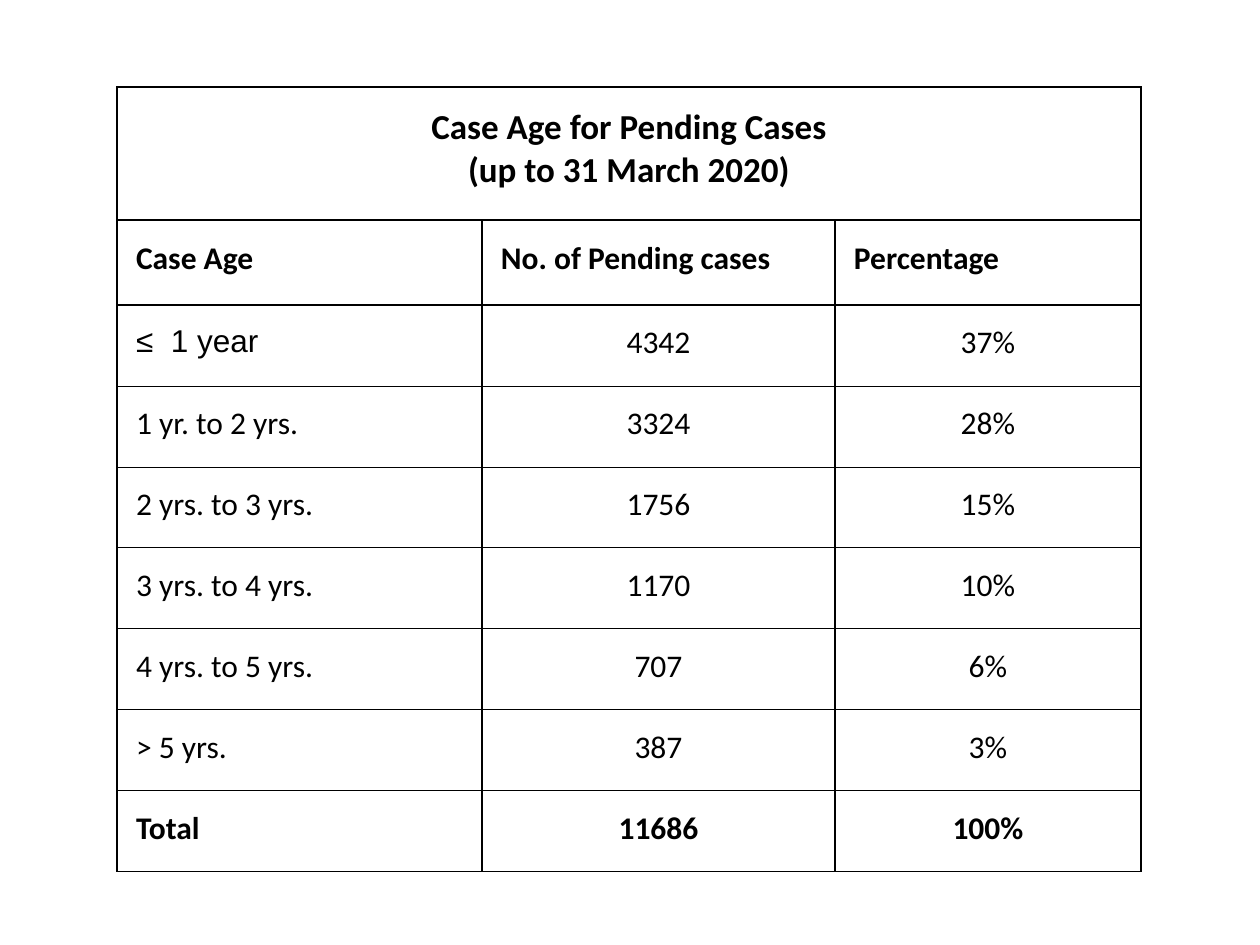
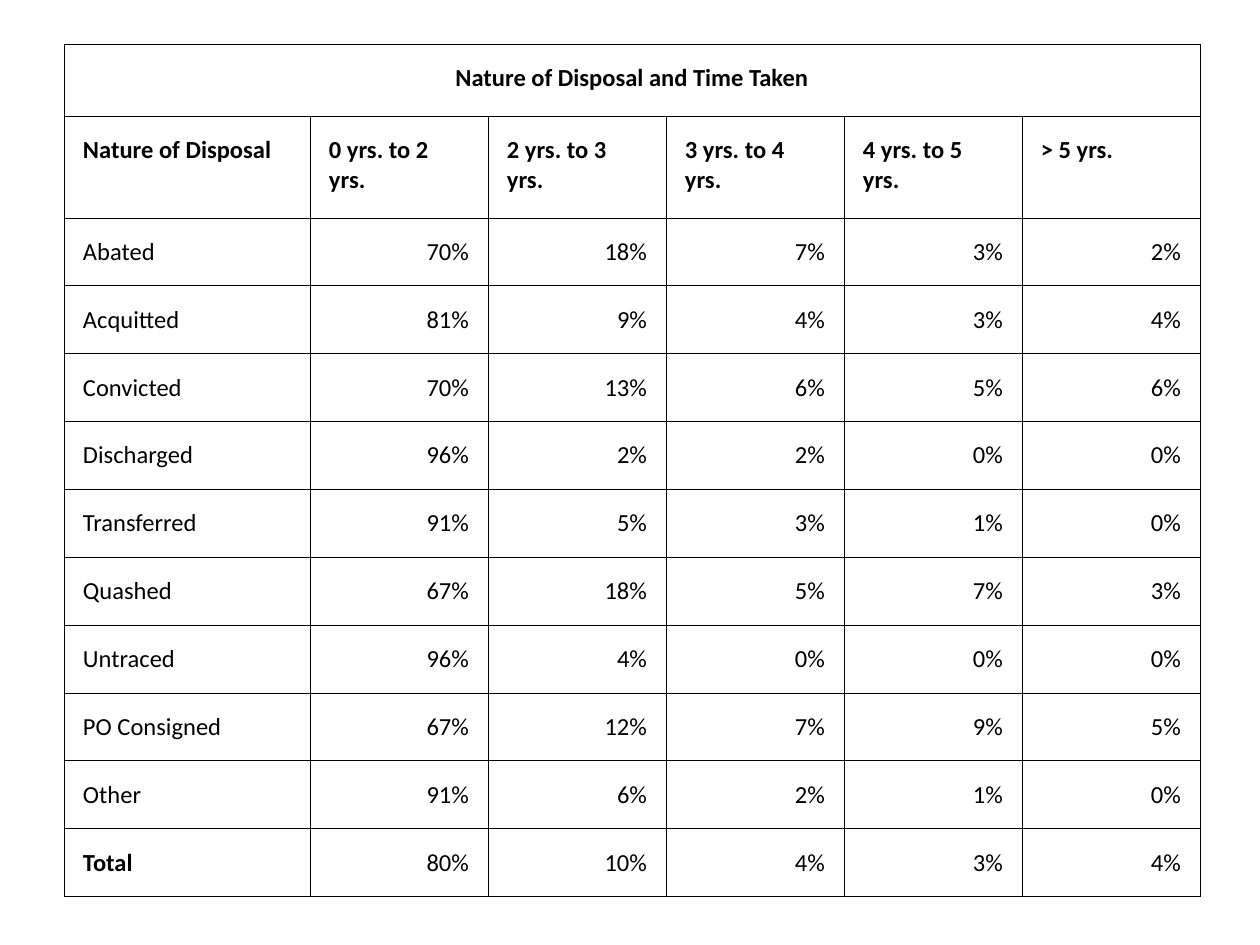
from dataclasses import dataclass

from lxml.etree import SubElement
from pptx import Presentation
from pptx.dml.color import RGBColor
from pptx.enum.text import MSO_ANCHOR as Anchor, PP_ALIGN as Align
from pptx.oxml.ns import qn
from pptx.presentation import Presentation as Deck
from pptx.table import _Cell as Cell
from pptx.util import Emu, Pt

PX_PER_INCH = 126
EMU_PER_INCH = 914400
BLACK = RGBColor(0, 0, 0)
FONT = "Calibri"
CELL_MARGIN = 19
THIN, REGULAR = 0.5, 1


@dataclass(frozen=True)
class CaseTable:
    left: int
    top: int
    columns: list[int]
    title_height: int
    header_height: int
    row_height: int
    title: str
    headers: list[str]
    rows: list[list[str]]
    title_size: int
    text_size: int
    value_align: Align
    label_anchor: Anchor
    value_anchor: Anchor
    total_anchor: Anchor
    frame_line: float
    bold_total_values: bool


@dataclass(frozen=True)
class CellStyle:
    size: int
    bold: bool = False
    align: Align = Align.LEFT
    anchor: Anchor = Anchor.TOP
    font: str = FONT


PENDING_CASES = CaseTable(
    left=117, top=87, columns=[365, 353, 306],
    title_height=133, header_height=85, row_height=81,
    title="Case Age for Pending Cases\v(up to 31 March 2020)",
    headers=["Case Age", "No. of Pending cases", "Percentage"],
    rows=[
        ["≤  1 year", "4342", "37%"],
        ["1 yr. to 2 yrs.", "3324", "28%"],
        ["2 yrs. to 3 yrs.", "1756", "15%"],
        ["3 yrs. to 4 yrs.", "1170", "10%"],
        ["4 yrs. to 5 yrs.", "707", "6%"],
        ["> 5 yrs.", "387", "3%"],
        ["Total", "11686", "100%"],
    ],
    title_size=20, text_size=18, value_align=Align.CENTER,
    label_anchor=Anchor.TOP, value_anchor=Anchor.TOP, total_anchor=Anchor.TOP,
    frame_line=REGULAR, bold_total_values=True,
)

DISPOSAL_TIMES = CaseTable(
    left=64, top=44, columns=[246] + [178] * 5,
    title_height=72, header_height=102, row_height=67,
    title="Nature of Disposal and Time Taken",
    headers=["Nature of Disposal", "0 yrs. to 2 yrs.", "2 yrs. to 3 yrs.",
             "3 yrs. to 4 yrs.", "4 yrs. to 5 yrs.", "> 5 yrs."],
    rows=[
        ["Abated", "70%", "18%", "7%", "3%", "2%"],
        ["Acquitted", "81%", "9%", "4%", "3%", "4%"],
        ["Convicted", "70%", "13%", "6%", "5%", "6%"],
        ["Discharged", "96%", "2%", "2%", "0%", "0%"],
        ["Transferred", "91%", "5%", "3%", "1%", "0%"],
        ["Quashed", "67%", "18%", "5%", "7%", "3%"],
        ["Untraced", "96%", "4%", "0%", "0%", "0%"],
        ["PO Consigned", "67%", "12%", "7%", "9%", "5%"],
        ["Other", "91%", "6%", "2%", "1%", "0%"],
        ["Total", "80%", "10%", "4%", "3%", "4%"],
    ],
    title_size=14, text_size=14, value_align=Align.RIGHT,
    label_anchor=Anchor.MIDDLE, value_anchor=Anchor.BOTTOM, total_anchor=Anchor.BOTTOM,
    frame_line=THIN, bold_total_values=False,
)


def px(length: int) -> Emu:
    return Emu(round(length * EMU_PER_INCH / PX_PER_INCH))


def set_borders(cell: Cell, side: float, top: float, bottom: float) -> None:
    properties = cell._tc.get_or_add_tcPr()
    widths = {"a:lnL": side, "a:lnR": side, "a:lnT": top, "a:lnB": bottom}
    for tag, width in widths.items():
        line = SubElement(properties, qn(tag), w=str(Pt(width)))
        fill = SubElement(line, qn("a:solidFill"))
        SubElement(fill, qn("a:srgbClr"), val=str(BLACK))


def write_cell(cell: Cell, text: str, style: CellStyle) -> None:
    cell.margin_left = cell.margin_right = px(CELL_MARGIN)
    cell.margin_top = cell.margin_bottom = px(CELL_MARGIN)
    cell.vertical_anchor = style.anchor
    cell.fill.background()
    paragraph = cell.text_frame.paragraphs[0]
    paragraph.text = text
    paragraph.alignment = style.align
    paragraph.font.name = style.font
    paragraph.font.size = Pt(style.size)
    paragraph.font.bold = style.bold
    paragraph.font.color.rgb = BLACK


def body_style(data: CaseTable, text: str, is_label: bool, is_total: bool) -> CellStyle:
    if is_label:
        return CellStyle(
            data.text_size, bold=is_total,
            anchor=data.total_anchor if is_total else data.label_anchor,
            font="Arial" if text.startswith("≤") else FONT,
        )
    return CellStyle(data.text_size, is_total and data.bold_total_values,
                     data.value_align, data.value_anchor)


def add_case_table(presentation: Deck, data: CaseTable) -> None:
    slide = presentation.slides.add_slide(presentation.slide_layouts[6])
    heights = [data.title_height, data.header_height] + [data.row_height] * len(data.rows)
    table = slide.shapes.add_table(
        len(heights), len(data.columns), px(data.left), px(data.top),
        px(sum(data.columns)), px(sum(heights)),
    ).table
    table.first_row = table.horz_banding = False
    for column, width in zip(table.columns, data.columns):
        column.width = px(width)

    last = len(heights) - 1
    for index, (row, height) in enumerate(zip(table.rows, heights)):
        row.height = px(height)
        top = THIN if 2 < index < last else data.frame_line
        bottom = THIN if 1 < index < last - 1 else data.frame_line
        for cell in row.cells:
            set_borders(cell, data.frame_line, top, bottom)

    title_cell = table.cell(0, 0)
    title_cell.merge(table.cell(0, len(data.columns) - 1))
    write_cell(title_cell, data.title, CellStyle(data.title_size, True, Align.CENTER))
    for column, header in enumerate(data.headers):
        write_cell(table.cell(1, column), header, CellStyle(data.text_size, True))
    for index, texts in enumerate(data.rows, start=2):
        for column, text in enumerate(texts):
            style = body_style(data, text, column == 0, index == last)
            write_cell(table.cell(index, column), text, style)


def main() -> None:
    presentation = Presentation()
    presentation.slide_width = px(1260)
    presentation.slide_height = px(945)
    for data in (PENDING_CASES, DISPOSAL_TIMES):
        add_case_table(presentation, data)
    presentation.save("out.pptx")


if __name__ == "__main__":
    main()
